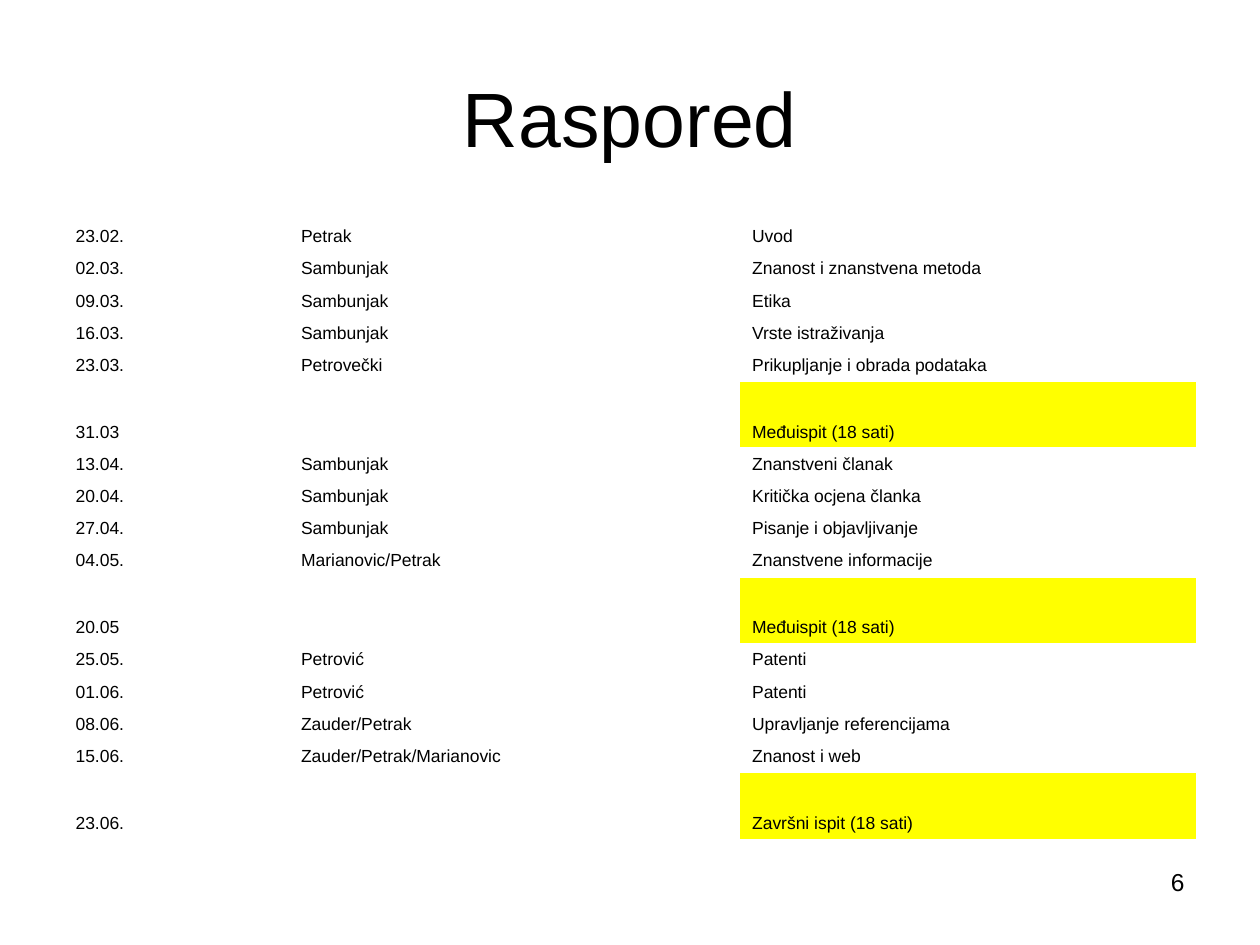
"""Build the course schedule slide."""
from typing import NamedTuple

from pptx import Presentation
from pptx import util as u
from pptx.dml.color import RGBColor
from pptx.enum import text

COLORS = {"text": "000000", "exam": "FFFF00"}
FONT = "Arial"
COLUMN_WIDTHS = (1.79, 3.58, 3.63)
LECTURE_HEIGHT, EXAM_HEIGHT = 0.25, 0.53
HANGING = u.Inches(0.38)


class Session(NamedTuple):
    date: str
    lecturer: str
    topic: str

    @property
    def is_exam(self) -> bool:
        return not self.lecturer

    @property
    def height(self) -> float:
        return EXAM_HEIGHT if self.is_exam else LECTURE_HEIGHT


SESSIONS = [
    Session("23.02.", "Petrak", "Uvod"),
    Session("02.03.", "Sambunjak", "Znanost i znanstvena metoda"),
    Session("09.03.", "Sambunjak", "Etika"),
    Session("16.03.", "Sambunjak", "Vrste istraživanja"),
    Session("23.03.", "Petrovečki", "Prikupljanje i obrada podataka"),
    Session("31.03", "", "Međuispit (18 sati)"),
    Session("13.04.", "Sambunjak", "Znanstveni članak"),
    Session("20.04.", "Sambunjak", "Kritička ocjena članka"),
    Session("27.04.", "Sambunjak", "Pisanje i objavljivanje"),
    Session("04.05.", "Marianovic/Petrak", "Znanstvene informacije"),
    Session("20.05", "", "Međuispit (18 sati)"),
    Session("25.05.", "Petrović", "Patenti"),
    Session("01.06.", "Petrović", "Patenti"),
    Session("08.06.", "Zauder/Petrak", "Upravljanje referencijama"),
    Session("15.06.", "Zauder/Petrak/Marianovic", "Znanost i web"),
    Session("23.06.", "", "Završni ispit (18 sati)"),
]


def write(frame, content: str, size: int, align=text.PP_ALIGN.LEFT):
    frame.text = content
    paragraph = frame.paragraphs[0]
    paragraph.alignment = align
    paragraph.font.size = u.Pt(size)
    paragraph.font.name = FONT
    paragraph.font.color.rgb = RGBColor.from_string(COLORS["text"])
    return paragraph


def place(shape, left: float, top: float, width: float, height: float) -> None:
    shape.left, shape.top = u.Inches(left), u.Inches(top)
    shape.width, shape.height = u.Inches(width), u.Inches(height)


def fill_cell(cell, content: str, highlighted: bool) -> None:
    properties = write(cell.text_frame, content, 10)._p.get_or_add_pPr()
    properties.set("marL", str(HANGING))
    properties.set("indent", str(-HANGING))
    cell.vertical_anchor = text.MSO_ANCHOR.BOTTOM
    if highlighted:
        cell.fill.solid()
        cell.fill.fore_color.rgb = RGBColor.from_string(COLORS["exam"])
    else:
        cell.fill.background()


def add_schedule(slide, sessions: list[Session]) -> None:
    height = sum(session.height for session in sessions)
    table = slide.shapes.add_table(
        len(sessions), len(COLUMN_WIDTHS), u.Inches(0.5), u.Inches(1.75),
        u.Inches(sum(COLUMN_WIDTHS)), u.Inches(height)).table
    table.first_row = table.horz_banding = False
    for column, width in zip(table.columns, COLUMN_WIDTHS):
        column.width = u.Inches(width)
    for row, session in zip(table.rows, sessions):
        row.height = u.Inches(session.height)
        for index, (cell, content) in enumerate(zip(row.cells, session)):
            fill_cell(cell, content, session.is_exam and index == 2)


def main() -> None:
    presentation = Presentation()
    presentation.slide_width, presentation.slide_height = u.Inches(10), u.Inches(7.5)
    slide = presentation.slides.add_slide(presentation.slide_layouts[5])

    title = slide.shapes.title
    place(title, 0.5, 0.3, 9, 1.25)
    write(title.text_frame, "Raspored", 44, text.PP_ALIGN.CENTER)
    title.text_frame.vertical_anchor = text.MSO_ANCHOR.MIDDLE

    add_schedule(slide, SESSIONS)

    number = slide.shapes.add_textbox(0, 0, 0, 0)
    place(number, 7.17, 6.83, 2.33, 0.52)
    number.text_frame.word_wrap = True
    write(number.text_frame, "6", 14, text.PP_ALIGN.RIGHT)

    presentation.save("out.pptx")


if __name__ == "__main__":
    main()
